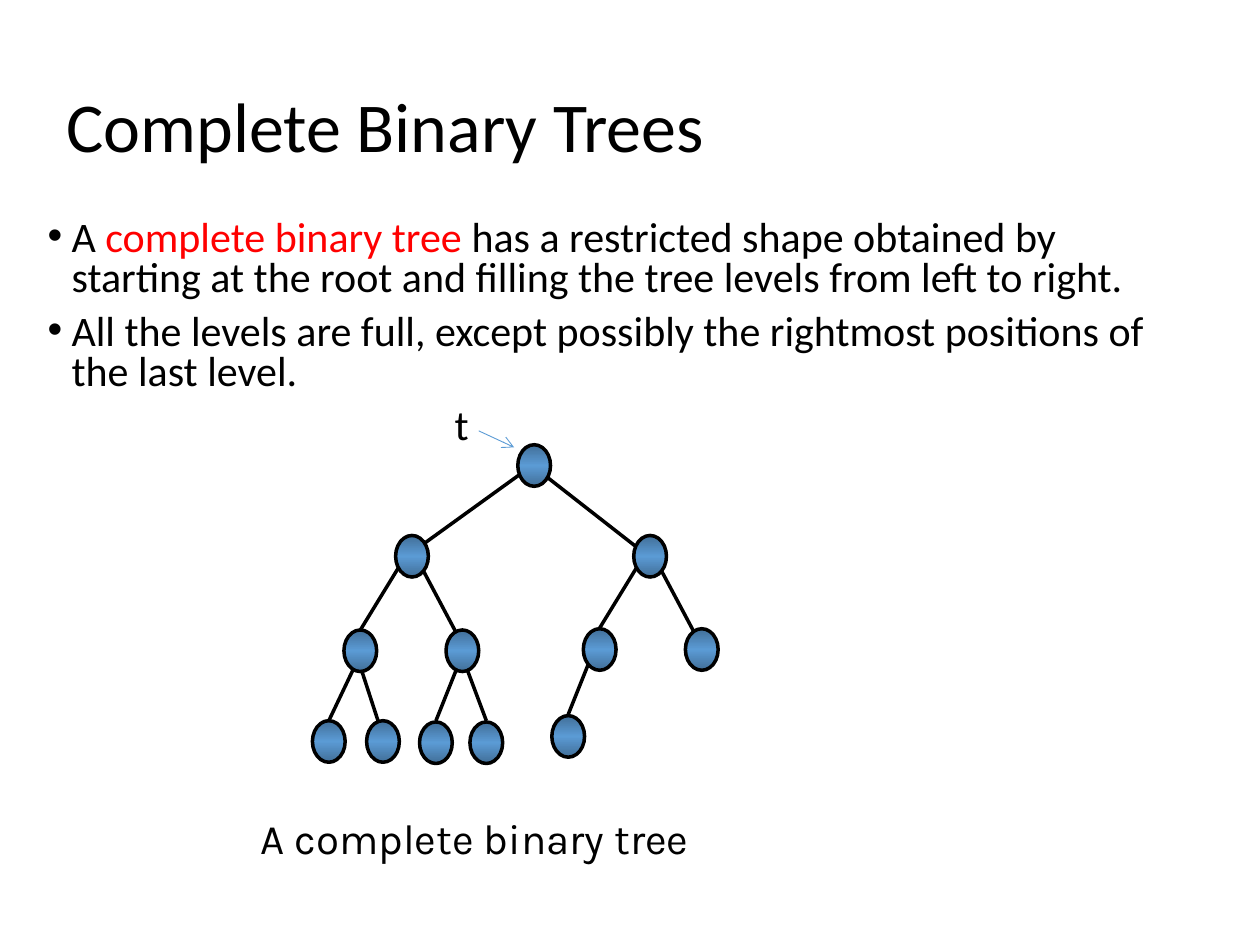
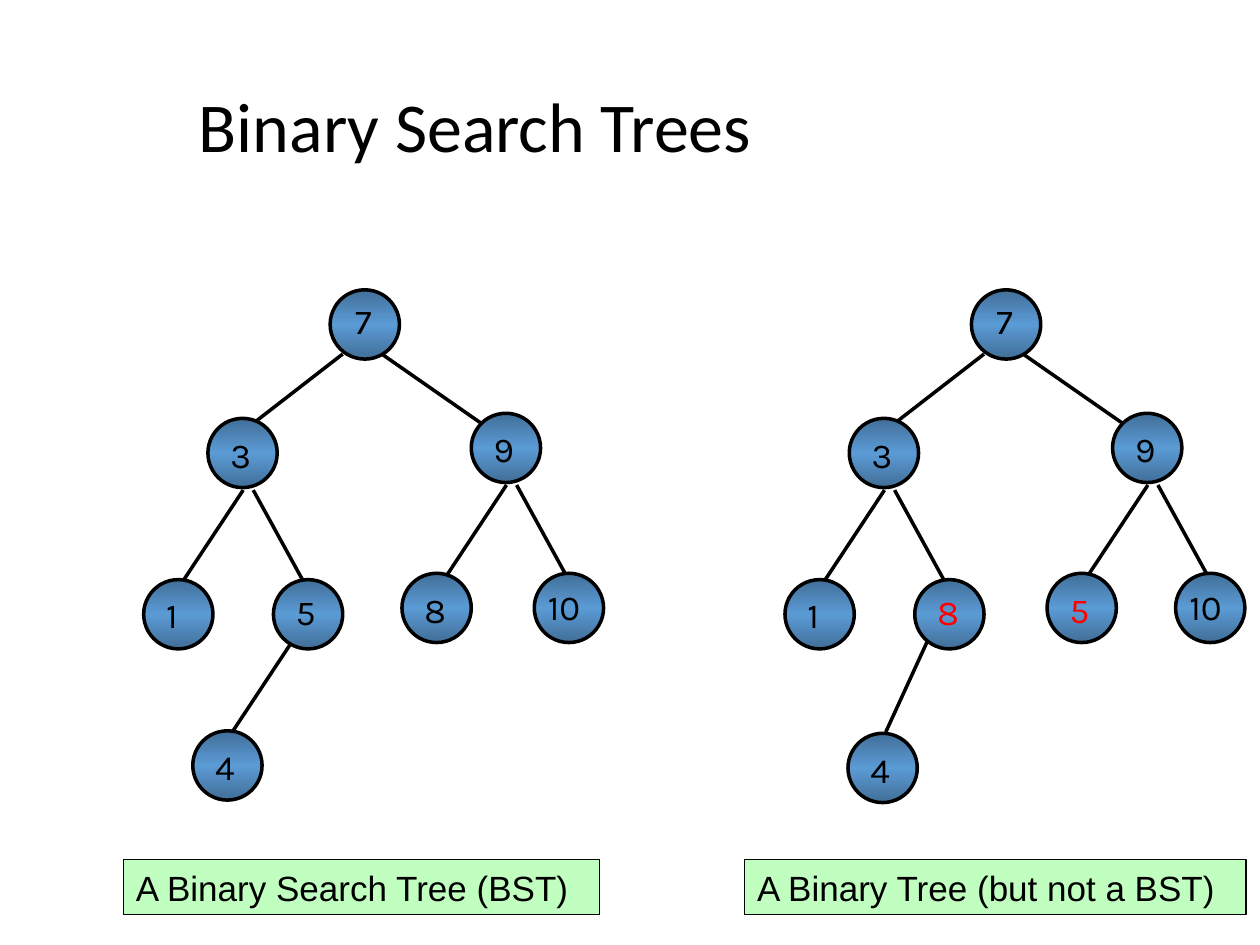
import pptx
import pptx.dml.color
import pptx.enum.shapes
import pptx.enum.text
import pptx.oxml
import pptx.oxml.ns
import pptx.util
from lxml import etree

Inches = pptx.util.Inches
Pt = pptx.util.Pt
qn = pptx.oxml.ns.qn


class Theme:
    black = "000000"
    red = "FF0000"
    blue = "5B9BD5"
    green = "C1FFC1"
    title_font, text_font, label_font, note_font = "Calibri", "Calibri", "Karla", "Arial"
    title_size, text_size, label_size = 40, 24, 20
    tree_line, frame_line, pointer_line = 2, 0.75, 0.5
    edge_shade = 46275


def rgb(value):
    return pptx.dml.color.RGBColor.from_string(value)


def style_span(span, font, size, color=Theme.black):
    span.font.name = font
    span.font.size = Pt(size)
    span.font.color.rgb = rgb(color)


def add_text(page, box, text, font, size, color=Theme.black):
    """Add a wrapped one-paragraph text box; box is left, top, width, height in inches."""
    shape = page.shapes.add_textbox(*map(Inches, box))
    shape.text_frame.word_wrap = True
    shape.text_frame.text = text
    style_span(shape.text_frame.paragraphs[0].runs[0], font, size, color)
    return shape


def add_title(page, left, text):
    box = (left, 0.23, 10 - left, 1.6)
    frame = add_text(page, box, text, Theme.title_font, Theme.title_size).text_frame
    frame.vertical_anchor = pptx.enum.text.MSO_ANCHOR.MIDDLE
    frame.paragraphs[0].line_spacing = 0.9


def indent_paragraph(para, left, bullet=False):
    properties = para._p.get_or_add_pPr()
    properties.set("marL", str(Inches(left)))
    if bullet:
        properties.set("indent", str(-Inches(left)))
        etree.SubElement(properties, qn("a:buFont")).set("typeface", "Arial")
        etree.SubElement(properties, qn("a:buChar")).set("char", "•")


def add_body(page, box, paragraphs):
    """Fill a text box; each paragraph is indent, bullet flag and (text, color) spans."""
    frame = page.shapes.add_textbox(*map(Inches, box)).text_frame
    frame.word_wrap = True
    for index, (indent, bullet, spans) in enumerate(paragraphs):
        para = frame.add_paragraph() if index else frame.paragraphs[0]
        para.line_spacing = 0.8
        para.space_before = Pt(7.5)
        indent_paragraph(para, indent, bullet)
        for text, color in spans:
            span = para.add_run()
            span.text = text
            style_span(span, Theme.text_font, Theme.text_size, color)


def add_line(page, start, end, color=Theme.black, width=Theme.tree_line, arrow=False):
    line = page.shapes.add_connector(
        pptx.enum.shapes.MSO_CONNECTOR.STRAIGHT, *map(Inches, (*start, *end)))
    line.line.color.rgb = rgb(color)
    line.line.width = Pt(width)
    properties = line._element.spPr
    if arrow:
        etree.SubElement(properties.find(qn("a:ln")), qn("a:tailEnd")).set("type", "arrow")
    etree.SubElement(properties, qn("a:effectLst"))


def shade_node(node):
    """Fill a node with a vertical gradient, dark at top and bottom."""
    node.fill.gradient()
    node.fill.gradient_angle = 270
    stops = node._element.spPr.find(qn("a:gradFill")).find(qn("a:gsLst"))
    for stop in list(stops):
        stops.remove(stop)
    for position in (0, 50000, 100000):
        stop = etree.SubElement(stops, qn("a:gs"), pos=str(position))
        color = etree.SubElement(stop, qn("a:srgbClr"), val=Theme.blue)
        if position != 50000:
            etree.SubElement(color, qn("a:shade"), val=str(Theme.edge_shade))


def add_preset(page, kind, box, line_width):
    shape = page.shapes.add_shape(kind, *map(Inches, box))
    shape.shadow.inherit = False
    shape.line.color.rgb = rgb(Theme.black)
    shape.line.width = Pt(line_width)
    return shape


def shift(origin, offset):
    return origin[0] + offset[0], origin[1] + offset[1]


def add_tree(page, origin, node_size, nodes, branches):
    """Draw a tree at origin; branches hold a parent and line ends relative to it."""
    for parent, start, end in branches:
        corner = shift(origin, nodes[parent])
        add_line(page, shift(corner, start), shift(corner, end))
    for place in nodes.values():
        box = (*shift(origin, place), *node_size)
        shade_node(add_preset(page, pptx.enum.shapes.MSO_SHAPE.OVAL, box, Theme.tree_line))


def add_node_labels(page, origin, nodes, labels):
    """Write each node's key; labels hold text, offset in the node and color."""
    for name, (text, offset, color) in labels.items():
        left, top = shift(shift(origin, nodes[name]), offset)
        width = 0.38 if len(text) == 1 else 0.55
        add_text(page, (left, top, width, 0.43), text,
                 Theme.label_font, Theme.label_size, color)


def add_note(page, box, text):
    note = add_preset(page, pptx.enum.shapes.MSO_SHAPE.RECTANGLE, box, Theme.frame_line)
    note.fill.solid()
    note.fill.fore_color.rgb = rgb(Theme.green)
    note.text_frame.word_wrap = True
    note.text_frame.text = text
    para = note.text_frame.paragraphs[0]
    para.alignment = pptx.enum.text.PP_ALIGN.LEFT
    style_span(para.runs[0], Theme.note_font, Theme.label_size)


def add_search_tree(page, origin, lowest, lowest_branch, right_child_left, keys, moved=()):
    """Draw an eight-node tree; keys fill it level by level, moved keys are red."""
    nodes = {
        "root": (1.48, 0),
        "left": (0.51, 1.02), "right": (2.6, 0.98),
        "left left": (0, 2.3), "left right": (1.03, 2.3),
        "right left": (right_child_left, 2.25), "right right": (3.1, 2.25),
        "lowest": lowest,
    }
    branches = [("root", (0.1, 0.51), (-0.61, 1.06)), ("root", (0.41, 0.51), (1.2, 1.06))]
    for parent in ("left", "right"):
        branches += [(parent, (0.28, 0.57), (-0.19, 1.28)),
                     (parent, (0.36, 0.57), (0.75, 1.28))]
    branches.append(("left right", *lowest_branch))
    offsets = [(0.1, 0.03), (0.08, 0.07), (0.08, 0.06), (0.08, 0.06),
               (0.08, 0.04), (0.08, 0.07), (0.01, 0.05), (0.08, 0.07)]
    labels = {
        name: (str(key), offset, Theme.red if key in moved else Theme.black)
        for name, key, offset in zip(nodes, keys, offsets)
    }
    add_tree(page, origin, (0.55, 0.55), nodes, branches)
    add_node_labels(page, origin, nodes, labels)


def add_complete_tree(page, origin):
    nodes = {
        "root": (1.63, 0),
        "left": (0.66, 0.72), "right": (2.55, 0.72),
        "left left": (0.25, 1.47), "left right": (1.06, 1.47),
        "right left": (2.15, 1.46), "right right": (2.96, 1.46),
        "leaf 1": (0, 2.19), "leaf 2": (0.43, 2.19),
        "leaf 3": (0.85, 2.2), "leaf 4": (1.25, 2.2), "leaf 5": (1.9, 2.15),
    }
    branches = [("root", (0.01, 0.24), (-0.78, 0.81)), ("root", (0.21, 0.24), (0.94, 0.81))]
    for parent in ("left", "right"):
        branches += [(parent, (0.02, 0.26), (-0.28, 0.75)),
                     (parent, (0.22, 0.28), (0.48, 0.77))]
    branches += [
        ("left left", (0.07, 0.32), (-0.12, 0.72)), ("left left", (0.14, 0.32), (0.27, 0.72)),
        ("left right", (0.08, 0.32), (-0.08, 0.72)), ("left right", (0.17, 0.32), (0.32, 0.72)),
        ("right left", (0.04, 0.28), (-0.12, 0.68)),
    ]
    add_tree(page, origin, (0.26, 0.33), nodes, branches)
    add_line(page, shift(origin, (1.32, -0.11)), shift(origin, (1.6, 0.02)),
             Theme.blue, Theme.pointer_line, arrow=True)


def build_complete_trees(page):
    add_title(page, 0.43, "Complete Binary Trees")
    add_body(page, (0.28, 1.7, 9.06, 2.03), [
        (0.19, True, [
            ("A ", Theme.black),
            ("complete binary tree ", Theme.red),
            ("has a restricted shape obtained by starting at the root and "
             "filling the tree levels from left to right.", Theme.black)]),
        (0.19, True, [
            ("All the levels are full, except possibly the rightmost "
             "positions of the last level.", Theme.black)]),
        (3.23, False, [("t", Theme.black)]),
    ])
    add_complete_tree(page, (2.48, 3.53))
    add_text(page, (1.97, 6.4, 5.08, 0.5), "A complete binary tree",
             Theme.label_font, Theme.text_size)


def build_search_trees(page):
    add_title(page, 1.48, "Binary Search Trees")
    add_search_tree(page, (1.14, 2.3), (0.39, 3.5), ((0.15, 0.49), (-0.32, 1.2)),
                    2.05, (7, 3, 9, 1, 5, 8, 10, 4))
    add_search_tree(page, (6.23, 2.3), (0.5, 3.52), ((0.1, 0.49), (-0.23, 1.21)),
                    2.08, (7, 3, 9, 1, 8, 5, 10, 4), moved=(5, 8))
    add_note(page, (0.98, 6.82, 3.78, 0.44), "A Binary Search Tree (BST)")
    add_note(page, (5.91, 6.82, 3.98, 0.44), "A Binary Tree (but not a BST)")


def main():
    deck = pptx.Presentation()
    deck.slide_width, deck.slide_height = Inches(10), Inches(7.5)
    for build in (build_complete_trees, build_search_trees):
        build(deck.slides.add_slide(deck.slide_layouts[6]))
    deck.save("out.pptx")


if __name__ == "__main__":
    main()
